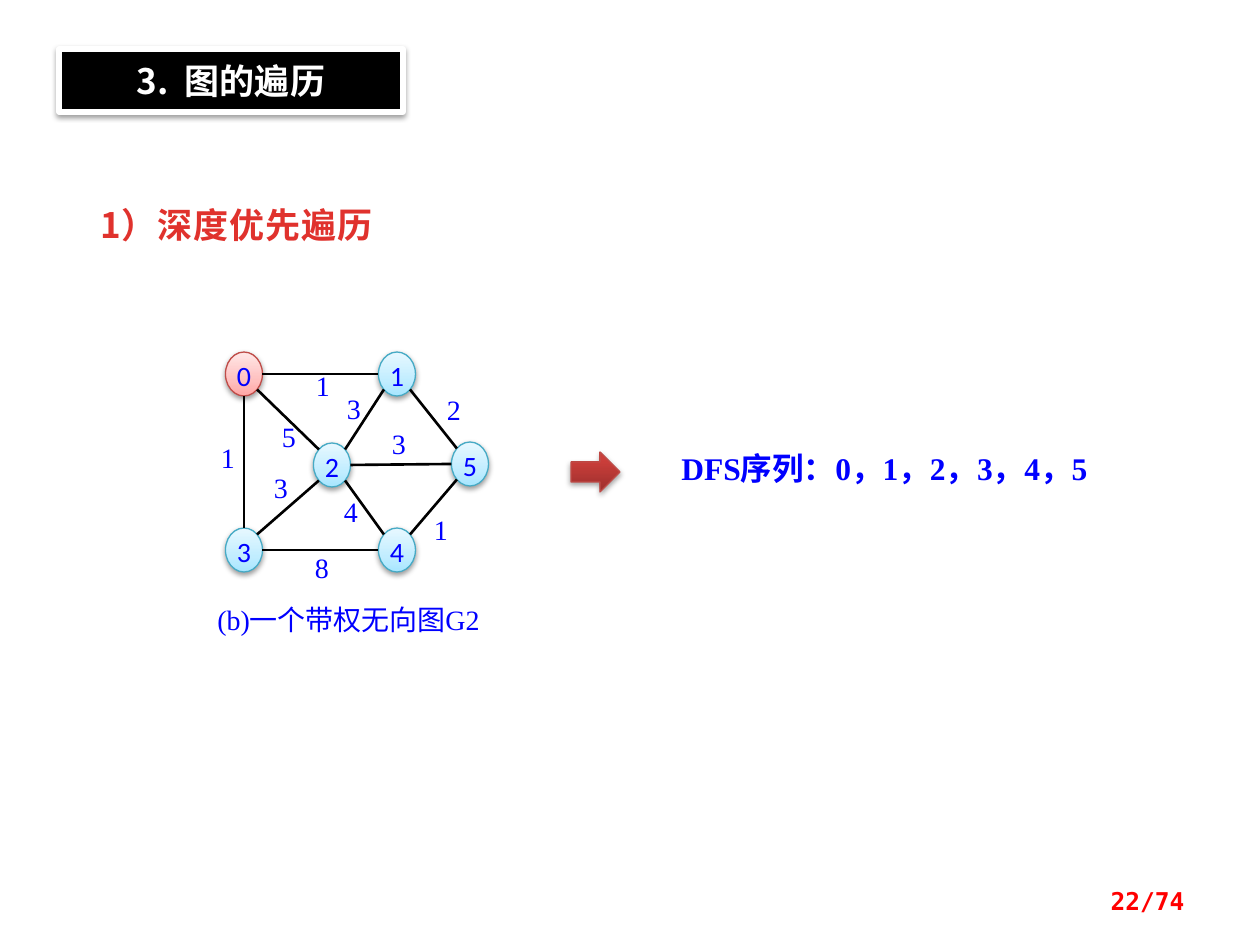
import copy
import math
from pptx import Presentation
from pptx import util as u
from pptx.dml.color import RGBColor
from pptx.enum import shapes, text
from pptx.oxml import parse_xml
from pptx.oxml.ns import nsdecls, qn

SCALE = 914400 / 126
CJK, SERIF, SANS, MONO = "Noto Sans CJK SC", "Times New Roman", "Calibri", "DejaVu Sans Mono"
BLUE = "0000FF"
CYAN_STOPS = [(0, "A7E6FF"), (35, "C1EDFF"), (100, "E7F8FF")]
PINK_STOPS = [(0, "FFA6A5"), (35, "FFC0BF"), (100, "FFE7E7")]
RED_STOPS = [(0, "9C2F2D"), (80, "CB3E3A"), (100, "CE3B37")]
HEADING_STOPS = [(25, "E0322D"), (100, "A2201C")]

NODE_W, NODE_H = 37, 44
NODES = {"0": (244, 374), "1": (397, 374), "4": (397, 550),
         "3": (244, 550), "5": (470, 464), "2": (332, 465)}
EDGES = ["03", "02", "01", "34", "23", "25", "15", "45", "12", "24"]
LABEL_W, LABEL_H = 26, 34
WEIGHTS = [("3", 341, 392), ("3", 268, 471), ("8", 309, 551), ("5", 276, 420),
           ("4", 338, 495), ("3", 386, 427), ("1", 428, 513), ("2", 441, 393),
           ("1", 310, 369), ("1", 215, 441)]


def px(n):
    return u.Emu(round(n * SCALE))


def rgb(value):
    return RGBColor.from_string(value)


def set_gradient(fill, element, stops, angle):
    """Fill with any number of (percent, colour) stops; angle is counter-clockwise."""
    fill.gradient()
    fill.gradient_angle = angle
    gs_list = element.find(".//" + qn("a:gsLst"))
    while len(gs_list) < len(stops):
        gs_list.append(copy.deepcopy(gs_list[-1]))
    for stop, (percent, colour) in zip(fill.gradient_stops, stops):
        stop.position = percent / 100
        stop.color.rgb = rgb(colour)


def write(sp, words, align="LEFT", insets=(0.1, 0.05), anchor="TOP", grow=False,
          colour=BLUE, **font):
    tf = sp.text_frame
    side, end = map(u.Inches, insets)
    sizing = text.MSO_AUTO_SIZE.SHAPE_TO_FIT_TEXT if grow else text.MSO_AUTO_SIZE.NONE
    frame = dict(word_wrap=True, auto_size=sizing,
                 vertical_anchor=getattr(text.MSO_ANCHOR, anchor),
                 margin_left=side, margin_right=side, margin_top=end, margin_bottom=end)
    for key, value in frame.items():
        setattr(tf, key, value)
    p = tf.paragraphs[0]
    p.alignment = getattr(text.PP_ALIGN, align)
    r = p.add_run()
    r.text = words
    font["size"] = u.Pt(font["size"])
    for key, value in font.items():
        setattr(r.font, key, value)
    r.font.color.rgb = rgb(colour)
    r._r.get_or_add_rPr().append(parse_xml(f'<a:ea {nsdecls("a")} typeface="{CJK}"/>'))
    return r


def add_box(s, kind, x, y, w, h, fill, line=None, width=0.75, shadow=None):
    """Add a preset shape; fill is a colour or gradient stops, shadow its opacity in percent."""
    sp = s.shapes.add_shape(getattr(shapes.MSO_SHAPE, kind), px(x), px(y), px(w), px(h))
    if isinstance(fill, str):
        sp.fill.solid()
        sp.fill.fore_color.rgb = rgb(fill)
    else:
        set_gradient(sp.fill, sp._element.spPr, fill, 90)
    if line:
        sp.line.color.rgb = rgb(line)
        sp.line.width = u.Pt(width)
    else:
        sp.line.fill.background()
    sp.shadow.inherit = False
    if shadow:
        sp._element.spPr.find(qn("a:effectLst")).append(parse_xml(
            f'<a:outerShdw {nsdecls("a")} blurRad="{u.Pt(3.1)}" dist="{u.Pt(1.7)}" '
            f'dir="5400000" rotWithShape="0"><a:srgbClr val="000000">'
            f'<a:alpha val="{shadow * 1000}"/></a:srgbClr></a:outerShdw>'))
    return sp


def add_text(s, x, y, w, h, words, **style):
    return write(s.shapes.add_textbox(px(x), px(y), px(w), px(h)), words, **style)


def add_edge(s, start, end):
    """Join two nodes at the points of their outlines nearest to a multiple of 45 degrees."""
    (x1, y1), (x2, y2) = NODES[start], NODES[end]
    step = math.pi / 4
    angle = round(math.atan2(y2 - y1, x2 - x1) / step) * step
    dx, dy = NODE_W / 2 * math.cos(angle), NODE_H / 2 * math.sin(angle)
    edge = s.shapes.add_connector(shapes.MSO_CONNECTOR.STRAIGHT,
                                  px(x1 + dx), px(y1 + dy), px(x2 - dx), px(y2 - dy))
    edge.line.color.rgb = rgb("000000")
    edge.line.width = u.Pt(1.5)
    edge._element.spPr.append(parse_xml(f'<a:effectLst {nsdecls("a")}/>'))


def main():
    prs = Presentation()
    prs.slide_width, prs.slide_height = px(1260), px(945)
    s = prs.slides.add_slide(prs.slide_layouts[6])

    title = add_box(s, "RECTANGLE", 59, 49, 344, 63, "000000", "FFFFFF", 3, shadow=38)
    write(title, "3.  图的遍历", align="CENTER", insets=(0.1, 0.08), grow=True,
          colour="FFFFFF", name=CJK, size=20, bold=True)
    heading = add_text(s, 88, 197, 354, 55, "1）深度优先遍历", grow=True,
                       name=CJK, size=20, bold=True)
    set_gradient(heading.font.fill, heading._r, HEADING_STOPS, 270)
    heading._r.get_or_add_rPr().set("spc", "50")

    label = dict(align="CENTER", insets=(0, 0), size=16)
    for weight, x, y in WEIGHTS:
        write(add_box(s, "RECTANGLE", x, y, LABEL_W, LABEL_H, "FFFFFF"),
              weight, name=SERIF, **label)
    write(add_box(s, "RECTANGLE", 217, 603, 263, 37, "FFFFFF"),
          "(b)一个带权无向图G2", name=SERIF, **label)
    for node, (x, y) in NODES.items():
        stops, outline = (PINK_STOPS, "BF4C48") if node == "0" else (CYAN_STOPS, "46AAC5")
        sp = add_box(s, "OVAL", x - NODE_W / 2, y - NODE_H / 2, NODE_W, NODE_H,
                     stops, outline, shadow=38)
        write(sp, node, name=SANS, **label)
    for start, end in EDGES:
        add_edge(s, start, end)

    add_text(s, 669, 443, 452, 50, "DFS序列：0，1，2，3，4，5", grow=True,
             name=SERIF, size=18, bold=True)
    add_box(s, "RIGHT_ARROW", 571, 452, 49, 40, RED_STOPS, "BF4C48", shadow=35)
    add_text(s, 903, 875, 294, 51, "22/74", align="RIGHT", anchor="MIDDLE",
             colour="FF0000", name=MONO, size=14, bold=True)
    prs.save("out.pptx")


if __name__ == "__main__":
    main()
